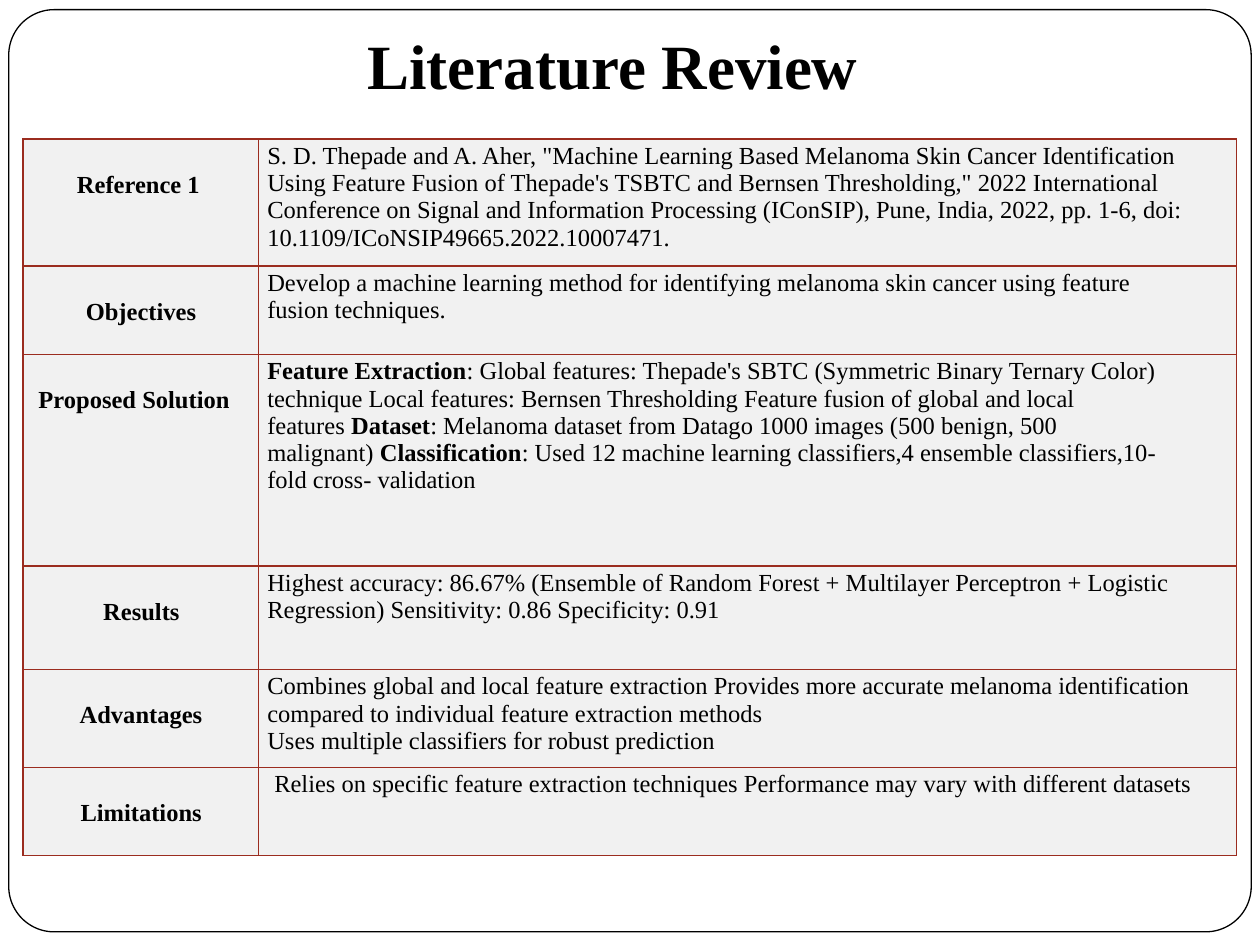
from dataclasses import dataclass
from lxml import etree
from pptx import Presentation
from pptx.dml.color import RGBColor
from pptx.enum.shapes import MSO_SHAPE
from pptx.enum.text import MSO_ANCHOR, MSO_AUTO_SIZE, PP_ALIGN
from pptx.oxml.ns import qn
from pptx.util import Pt


@dataclass(frozen=True)
class Theme:
    font: str = "Times New Roman"
    ink: str = "000000"
    cell: str = "F1F1F1"
    border: str = "9B2C1F"
    title_size: float = 36
    text_size: float = 14


THEME = Theme()
SLIDE_WIDTH, SLIDE_HEIGHT = 720, 540
COLUMN_SHARES = (134.75, 558.75)
TABLE_NO_STYLE = "{2D5ABB26-0587-4C30-8999-92F81FD0307C}"

# Row height, label, label indent, body indent, body paragraphs.
# Text between ** marks is bold; \v is a line break.
ROWS = [
    (72.5, "Reference 1", 31, 5, [
        "S. D. Thepade and A. Aher, \"Machine Learning Based Melanoma Skin Cancer "
        "Identification Using Feature Fusion of Thepade's TSBTC and Bernsen "
        "Thresholding,\" 2022 International Conference on Signal and Information "
        "Processing (IConSIP), Pune, India, 2022, pp. 1-6, doi: "
        "10.1109/ICoNSIP49665.2022.10007471."]),
    (50.5, "Objectives", 36, 5, [
        "Develop a machine learning method for identifying melanoma skin cancer "
        "using feature fusion techniques."]),
    (121, "Proposed Solution", 9, 5, [
        "**Feature Extraction**: Global features: Thepade's SBTC (Symmetric Binary "
        "Ternary Color) \vtechnique Local features: Bernsen Thresholding Feature "
        "fusion of global and local \vfeatures **Dataset**: Melanoma dataset from "
        "Datago 1000 images (500 benign, 500 \vmalignant) **Classification**: Used "
        "12 machine learning classifiers,4 ensemble classifiers,10-\vfold cross- "
        "validation"]),
    (59, "Results", 46, 5, [
        "Highest accuracy: 86.67% (Ensemble of Random Forest + Multilayer "
        "Perceptron + Logistic",
        "Regression) Sensitivity: 0.86 Specificity: 0.91"]),
    (56, "Advantages", 32.5, 5, [
        "Combines global and local feature extraction Provides more accurate "
        "melanoma identification compared to individual feature extraction methods",
        "Uses multiple classifiers for robust prediction"]),
    (50.5, "Limitations", 33, 9, [
        "Relies on specific feature extraction techniques Performance may vary "
        "with different datasets"]),
]


def color(value):
    return RGBColor.from_string(value)


def style_font(font, size, bold):
    font.name = THEME.font
    font.size = Pt(size)
    font.bold = bold
    font.color.rgb = color(THEME.ink)


def set_margins(target, left, top, right, bottom=0):
    target.margin_left, target.margin_top = Pt(left), Pt(top)
    target.margin_right, target.margin_bottom = Pt(right), Pt(bottom)


def add_frame(slide, left, top, width, height, radius=26):
    frame = slide.shapes.add_shape(MSO_SHAPE.ROUNDED_RECTANGLE,
                                   Pt(left), Pt(top), Pt(width), Pt(height))
    frame.adjustments[0] = radius / min(width, height)
    frame.shadow.inherit = False
    frame.fill.background()
    frame.line.color.rgb = color(THEME.ink)
    frame.line.width = Pt(0.75)


def place_title(slide, text, left, top, width, height):
    title = slide.shapes.title
    title.left, title.top = Pt(left), Pt(top)
    title.width, title.height = Pt(width), Pt(height)
    text_frame = title.text_frame
    text_frame.text = text
    text_frame.word_wrap = True
    text_frame.auto_size = MSO_AUTO_SIZE.NONE
    text_frame.vertical_anchor = MSO_ANCHOR.TOP
    set_margins(text_frame, 1, 1, 0)
    paragraph = text_frame.paragraphs[0]
    paragraph.alignment = PP_ALIGN.LEFT
    style_font(paragraph.font, THEME.title_size, True)


def set_borders(cell):
    properties = cell._tc.get_or_add_tcPr()
    for position, side in enumerate(("lnL", "lnR", "lnT", "lnB")):
        line = etree.Element(qn(f"a:{side}"), w=str(Pt(1)))
        fill = etree.SubElement(line, qn("a:solidFill"))
        etree.SubElement(fill, qn("a:srgbClr"), val=THEME.border)
        properties.insert(position, line)


def fill_cell(cell, paragraphs, margins, bold):
    cell.fill.solid()
    cell.fill.fore_color.rgb = color(THEME.cell)
    cell.vertical_anchor = MSO_ANCHOR.TOP
    set_margins(cell, *margins)
    set_borders(cell)
    text_frame = cell.text_frame
    for index, text in enumerate(paragraphs):
        paragraph = text_frame.add_paragraph() if index else text_frame.paragraphs[0]
        style_font(paragraph.font, THEME.text_size, bold)
        for part, words in enumerate(text.split("**")):
            for line, piece in enumerate(words.split("\v")):
                if line:
                    paragraph.add_line_break()
                if piece:
                    run = paragraph.add_run()
                    run.text = piece
                    style_font(run.font, THEME.text_size, bold or part % 2 == 1)


def add_review_table(slide, left, top, width, height):
    shape = slide.shapes.add_table(len(ROWS), 2, Pt(left), Pt(top),
                                   Pt(width), Pt(height))
    table = shape.table
    table.first_row = table.horz_banding = False
    table._tbl.tblPr.find(qn("a:tableStyleId")).text = TABLE_NO_STYLE
    for column, share in zip(table.columns, COLUMN_SHARES):
        column.width = Pt(width * share / sum(COLUMN_SHARES))
    total = sum(row[0] for row in ROWS)
    for index, (share, label, label_indent, body_indent, body) in enumerate(ROWS):
        table.rows[index].height = Pt(height * share / total)
        fill_cell(table.cell(index, 0), [label], (label_indent, 18.5, 0), True)
        fill_cell(table.cell(index, 1), body, (body_indent, 2.2, 24), False)


def main():
    presentation = Presentation()
    presentation.slide_width = Pt(SLIDE_WIDTH)
    presentation.slide_height = Pt(SLIDE_HEIGHT)
    slide = presentation.slides.add_slide(presentation.slide_layouts[5])
    # Border, heading and review table
    add_frame(slide, 5, 5.5, 710, 527)
    place_title(slide, "Literature Review", 209, 14, 302, 45)
    add_review_table(slide, 13, 79.5, 693.5, 409.5)
    presentation.save("out.pptx")


if __name__ == "__main__":
    main()
